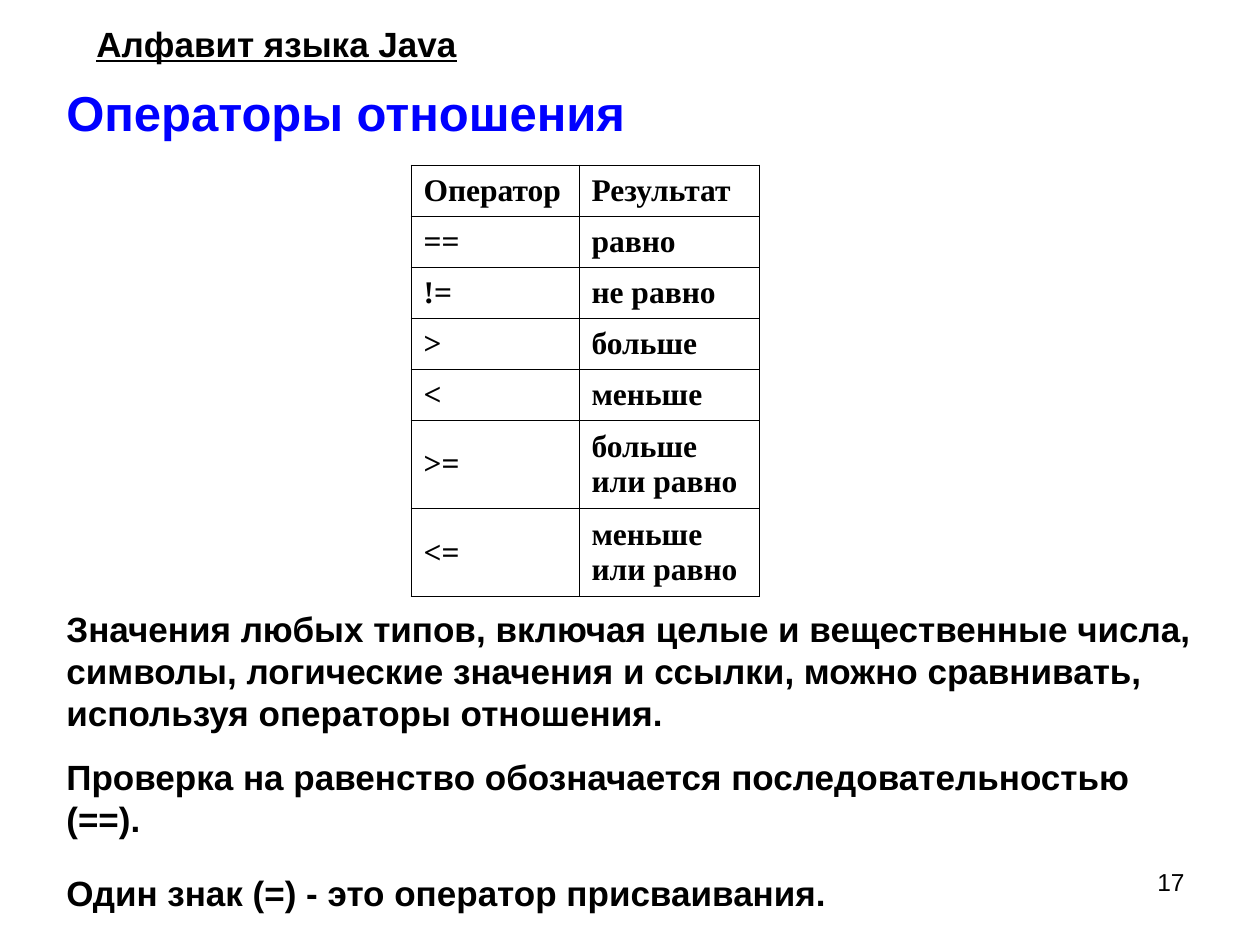
import pptx
import pptx.util
import pptx.dml.color
import pptx.enum.text
import pptx.oxml
import pptx.oxml.ns

PX = 914400 // 126
COLORS = {"ink": "000000", "heading": "0000FF"}
ALIGN = pptx.enum.text.PP_ALIGN

# Content: area is left, top, width, height in px; paragraphs are (text, space before in pt)
TEXTS = [
    {"area": (84, 16, 427, 55), "size": 20, "underline": True,
     "paragraphs": [("Алфавит языка Java", 12.5)]},
    {"area": (54, 76, 645, 72), "size": 28, "color": "heading",
     "paragraphs": [("Операторы отношения", 0)]},
    {"area": (54, 601, 1160, 321), "size": 20,
     "paragraphs": [
         ("Значения любых типов, включая целые и вещественные числа, символы, "
          "логические значения и ссылки, можно сравнивать, используя операторы отношения.", 12.5),
         ("Проверка на равенство обозначается последовательностью (==).", 12.5),
         ("Один знак (=) - это оператор присваивания.", 18.5)]},
    {"area": (903, 861, 294, 66), "size": 14, "bold": False, "align": ALIGN.RIGHT,
     "paragraphs": [("17", 0)]},
]
OPERATORS = [
    ("Оператор", "Результат"),
    ("==", "равно"),
    ("!=", "не равно"),
    (">", "больше"),
    ("<", "меньше"),
    (">=", "больше или равно"),
    ("<=", "меньше или равно"),
]
TABLE_LEFT, TABLE_TOP = 411, 165
COLUMN_WIDTHS = (168, 180)
ROW_HEIGHTS = [51] * 5 + [88] * 2


def style(para, font, size, color="ink", bold=True, underline=None):
    for span in para.runs:
        span.font.name = font
        span.font.size = pptx.util.Pt(size)
        span.font.bold = bold
        span.font.underline = underline
        span.font.color.rgb = pptx.dml.color.RGBColor.from_string(COLORS[color])


def add_text(page, area, size, paragraphs, align=ALIGN.LEFT, **look):
    box = page.shapes.add_textbox(*(value * PX for value in area))
    frame = box.text_frame
    frame.word_wrap = True
    frame.text = "\n".join(text for text, _ in paragraphs)
    for para, (_, before) in zip(frame.paragraphs, paragraphs):
        para.space_before = pptx.util.Pt(before)
        para.alignment = align
        style(para, "Arial", size, **look)


def add_borders(cell):
    properties = cell._tc.get_or_add_tcPr()
    width = pptx.util.Pt(0.45)
    for index, side in enumerate(("lnL", "lnR", "lnT", "lnB")):
        properties.insert(index, pptx.oxml.parse_xml(
            f'<a:{side} {pptx.oxml.ns.nsdecls("a")} w="{width}"><a:solidFill>'
            f'<a:srgbClr val="{COLORS["ink"]}"/></a:solidFill></a:{side}>'))


def add_operator_table(page):
    table = page.shapes.add_table(
        len(OPERATORS), len(COLUMN_WIDTHS), TABLE_LEFT * PX, TABLE_TOP * PX,
        sum(COLUMN_WIDTHS) * PX, sum(ROW_HEIGHTS) * PX).table
    table.first_row = False
    table.horz_banding = False
    for column, width in zip(table.columns, COLUMN_WIDTHS):
        column.width = width * PX
    for row, height, texts in zip(table.rows, ROW_HEIGHTS, OPERATORS):
        row.height = height * PX
        for cell, text in zip(row.cells, texts):
            cell.text_frame.text = text
            cell.vertical_anchor = pptx.enum.text.MSO_ANCHOR.MIDDLE
            cell.fill.background()
            add_borders(cell)
            style(cell.text_frame.paragraphs[0], "Times New Roman", 18)


def main():
    deck = pptx.Presentation()
    deck.slide_width, deck.slide_height = 1260 * PX, 945 * PX
    page = deck.slides.add_slide(deck.slide_layouts[6])

    # Headings, then the table, then the explanation and page number
    for text in TEXTS[:2]:
        add_text(page, **text)
    add_operator_table(page)
    for text in TEXTS[2:]:
        add_text(page, **text)
    deck.save("out.pptx")


if __name__ == "__main__":
    main()
